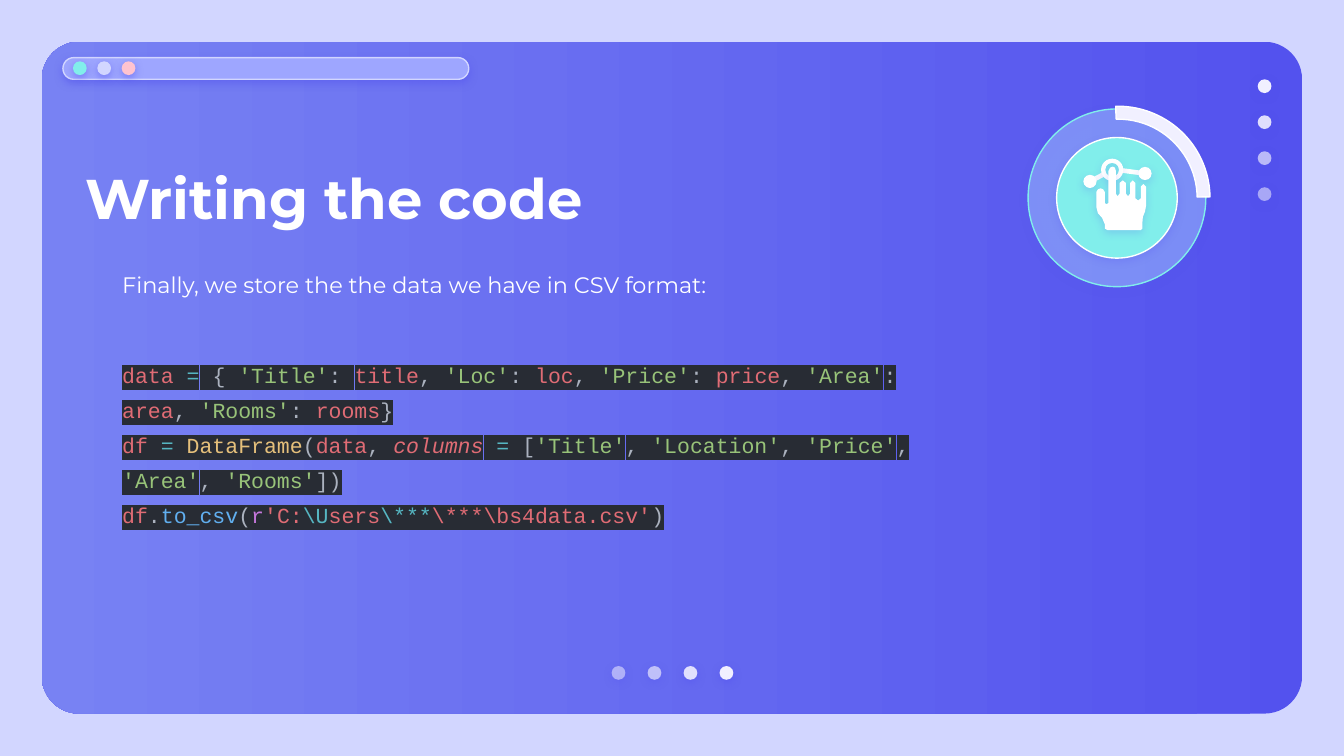
from lxml import etree
from pptx import Presentation
from pptx.dml.color import RGBColor
from pptx.enum import shapes as kinds, text as txt
from pptx.oxml import ns
from pptx.util import Cm, Pt

SHAPE = kinds.MSO_SHAPE
INDIGO, LILAC, AQUA, PALE, WHITE = "5352EE", "D2D6FF", "81EEEB", "F1F0FF", "FFFFFF"
DOT = 0.26
FADES = (100, 89, 66, 54)

# Syntax colours
INK = {"name": "E06C75", "arg": "E06C75", "mark": "ABB2BF", "op": "56B6C2",
       "str": "98C379", "class": "E5C07B", "call": "61AFEF", "prefix": "C678DD"}
CODE_BACK = "282C34"
INTRO = "Finally, we store the the data we have in CSV format:"
CODE = [
    [("name", "data"), ("mark", " "), ("op", "="), ("mark", " { "),
     ("str", "'Title'"), ("mark", ": "), ("name", "title"), ("mark", ", "),
     ("str", "'Loc'"), ("mark", ": "), ("name", "loc"), ("mark", ", "),
     ("str", "'Price'"), ("mark", ": "), ("name", "price"), ("mark", ", "),
     ("str", "'Area'"), ("mark", ": "), ("name", "area"), ("mark", ", "),
     ("str", "'Rooms'"), ("mark", ": "), ("name", "rooms"), ("mark", "}")],
    [("name", "df"), ("mark", " "), ("op", "="), ("mark", " "),
     ("class", "DataFrame"), ("mark", "("), ("name", "data"), ("mark", ", "),
     ("arg", "columns"), ("mark", " "), ("op", "="), ("mark", " ["),
     ("str", "'Title'"), ("mark", ", "), ("str", "'Location'"), ("mark", ", "),
     ("str", "'Price'"), ("mark", ", "), ("str", "'Area'"), ("mark", ", "),
     ("str", "'Rooms'"), ("mark", "])")],
    [("name", "df"), ("mark", "."), ("call", "to_csv"), ("mark", "("),
     ("prefix", "r"), ("name", "'C:"), ("op", r"\U"), ("name", "sers"),
     ("op", r"\***"), ("name", r"\***\bs4data.csv'"), ("mark", ")")],
]

# Hand outline in hundredths of a centimetre from the icon's corner
HAND = [(48, 23), (51, 17), (56, 15), (60, 17), (62, 23), (62, 66), (65, 71), (69, 66),
        (69, 46), (75, 41), (81, 46), (81, 66), (85, 71), (89, 66), (89, 46), (94, 41),
        (99, 46), (99, 75), (104, 79), (109, 75), (109, 53), (114, 48), (119, 53),
        (119, 89), (117, 100), (113, 110), (112, 122), (112, 132), (109, 135), (46, 135),
        (41, 132), (41, 124), (36, 112), (28, 103), (25, 91), (25, 63), (28, 58),
        (33, 56), (38, 58), (41, 63), (41, 84), (44, 86), (48, 84)]


def colour(hex_code):
    return RGBColor.from_string(hex_code)


def add_xml(parent, tag, **attributes):
    return etree.SubElement(parent, ns.qn(tag), attributes)


def style(shape, fill, alpha=100, line=None, shadow=0):
    """Set fill, outline and shadow; alpha and shadow are percentages."""
    shape.fill.solid()
    shape.fill.fore_color.rgb = colour(fill)
    properties = shape.element.spPr
    if alpha < 100:
        ink = properties.find(ns.qn("a:solidFill"))[0]
        add_xml(ink, "a:alpha", val=str(alpha * 1000))
    if line:
        shape.line.color.rgb = colour(line)
        shape.line.width = Pt(0.75)
    else:
        shape.line.fill.background()
    shape.shadow.inherit = False
    if shadow:
        effects = properties.find(ns.qn("a:effectLst"))
        cast = add_xml(effects, "a:outerShdw", blurRad=str(Pt(4.5)), dist=str(Pt(1.5)),
                       dir="5400000", algn="bl", rotWithShape="0")
        ink = add_xml(cast, "a:srgbClr", val=INDIGO)
        add_xml(ink, "a:alpha", val=str(shadow * 1000))


def add_shape(page, kind, left, top, width, height):
    return page.shapes.add_shape(kind, Cm(left), Cm(top), Cm(width), Cm(height))


def add_circle(page, centre_x, centre_y, size, fill, **looks):
    circle = add_shape(page, SHAPE.OVAL, centre_x - size / 2, centre_y - size / 2, size, size)
    style(circle, fill, **looks)


def add_dots(page, left, top, step_x, step_y, inks):
    for i, (fill, alpha) in enumerate(inks):
        add_circle(page, left + i * step_x + DOT / 2, top + i * step_y + DOT / 2, DOT,
                   fill, alpha=alpha, shadow=50)


def add_window(page, left, top, width, height):
    # Panel
    panel = add_shape(page, SHAPE.ROUNDED_RECTANGLE, left, top, width, height)
    panel.adjustments[0] = 0.056
    style(panel, INDIGO)
    panel.fill.gradient()
    panel.fill.gradient_angle = 180
    for stop, ink in zip(panel.fill.gradient_stops, (INDIGO, "7882F3")):
        stop.color.rgb = colour(ink)
    # Page dots at the right and bottom
    inks = [(PALE, fade) for fade in FADES]
    add_dots(page, left + width - 0.84, top + 0.71, 0, 0.68, inks)
    add_dots(page, left + 10.77, top + height - 0.9, 0.68, 0, inks[::-1])
    # Address bar with its buttons
    bar = add_shape(page, SHAPE.ROUNDED_RECTANGLE, left + 0.4, top + 0.3, 7.67, 0.41)
    bar.adjustments[0] = 0.5
    style(bar, "9EA6FF", line=LILAC, shadow=50)
    add_dots(page, left + 0.59, top + 0.37, 0.46, 0,
             [(AQUA, 100), (LILAC, 100), ("FFC3D0", 100)])


def set_frame(frame, anchor):
    frame.word_wrap = True
    frame.auto_size = txt.MSO_AUTO_SIZE.NONE
    frame.vertical_anchor = anchor
    frame.margin_left = frame.margin_right = Cm(0.25)
    frame.margin_top = frame.margin_bottom = Cm(0.25)


def set_font(para, name, size, bold=False):
    para.alignment = txt.PP_ALIGN.LEFT
    para.font.name, para.font.size, para.font.bold = name, Pt(size), bold
    para.font.color.rgb = colour(WHITE)


def place_title(page, left, top, width, height):
    title = page.shapes.title
    title.left, title.top, title.width, title.height = map(Cm, (left, top, width, height))
    title.element.getparent().append(title.element)  # in front of the panel
    title.text_frame.text = "Writing the code"
    set_frame(title.text_frame, txt.MSO_ANCHOR.MIDDLE)
    set_font(title.text_frame.paragraphs[0], "Montserrat", 30, bold=True)


def add_code(page, left, top, width, height):
    box = page.shapes.add_textbox(Cm(left), Cm(top), Cm(width), Cm(height))
    frame = box.text_frame
    set_frame(frame, txt.MSO_ANCHOR.TOP)
    # Introduction
    intro = frame.paragraphs[0]
    intro.text = INTRO
    intro.space_after = Pt(29)
    set_font(intro, "Montserrat", 12)
    # Highlighted code
    for line in CODE:
        para = frame.add_paragraph()
        set_font(para, "Courier New", 11.5)
        para.line_spacing = 1.36
        for kind, words in line:
            span = para.add_run()
            span.text = words
            span.font.color.rgb = colour(INK[kind])
            if kind == "arg":
                span.font.italic = True
            back = add_xml(span.font._element, "a:highlight")
            add_xml(back, "a:srgbClr", val=CODE_BACK)


def add_hand(page, left, top):
    # Rods and the points they join
    for x1, y1, x2, y2 in ((0.13, 0.43, 0.38, 0.3), (0.72, 0.22, 1.17, 0.28)):
        rod = page.shapes.add_connector(kinds.MSO_CONNECTOR.STRAIGHT, Cm(left + x1),
                                        Cm(top + y1), Cm(left + x2), Cm(top + y2))
        rod.line.color.rgb = colour(WHITE)
        rod.line.width = Pt(2.5)
        add_xml(rod._element.spPr, "a:effectLst")
    for x, y in ((0.13, 0.43), (1.17, 0.28)):
        add_circle(page, left + x, top + y, 0.25, WHITE, shadow=20)
    ring = add_shape(page, SHAPE.DONUT, left + 0.34, top, 0.42, 0.42)
    ring.adjustments[0] = 0.19
    style(ring, WHITE, shadow=20)
    # Hand
    builder = page.shapes.build_freeform(*HAND[0], scale=Cm(0.01))
    builder.add_line_segments(HAND[1:], close=True)
    style(builder.convert_to_shape(Cm(left), Cm(top)), WHITE, shadow=20)


def add_badge(page, left, top, size):
    middle_x, middle_y = left + size / 2, top + size / 2
    add_circle(page, middle_x, middle_y, size, "A1C3FF", alpha=51, line=AQUA, shadow=22)
    arc = add_shape(page, SHAPE.BLOCK_ARC, left - 0.04, top - 0.05, size + 0.12, size + 0.12)
    for i, value in enumerate((161.17, 215.44, 0.07)):
        arc.adjustments[i] = value
    style(arc, PALE, line=WHITE)
    add_circle(page, middle_x, middle_y, 2.28, AQUA, line=WHITE, shadow=22)
    add_hand(page, left + 1.04, top + 0.94)


def main():
    deck = Presentation()
    deck.slide_width, deck.slide_height = Cm(25.4), Cm(14.29)
    page = deck.slides.add_slide(deck.slide_layouts[5])
    page.background.fill.solid()
    page.background.fill.fore_color.rgb = colour(LILAC)
    add_window(page, 0.79, 0.79, 23.82, 12.7)
    add_code(page, 2.06, 4.88, 15.39, 6.98)
    place_title(page, 1.37, 3.12, 11, 1.22)
    add_badge(page, 19.43, 2.06, 3.36)
    deck.save("out.pptx")


if __name__ == "__main__":
    main()
